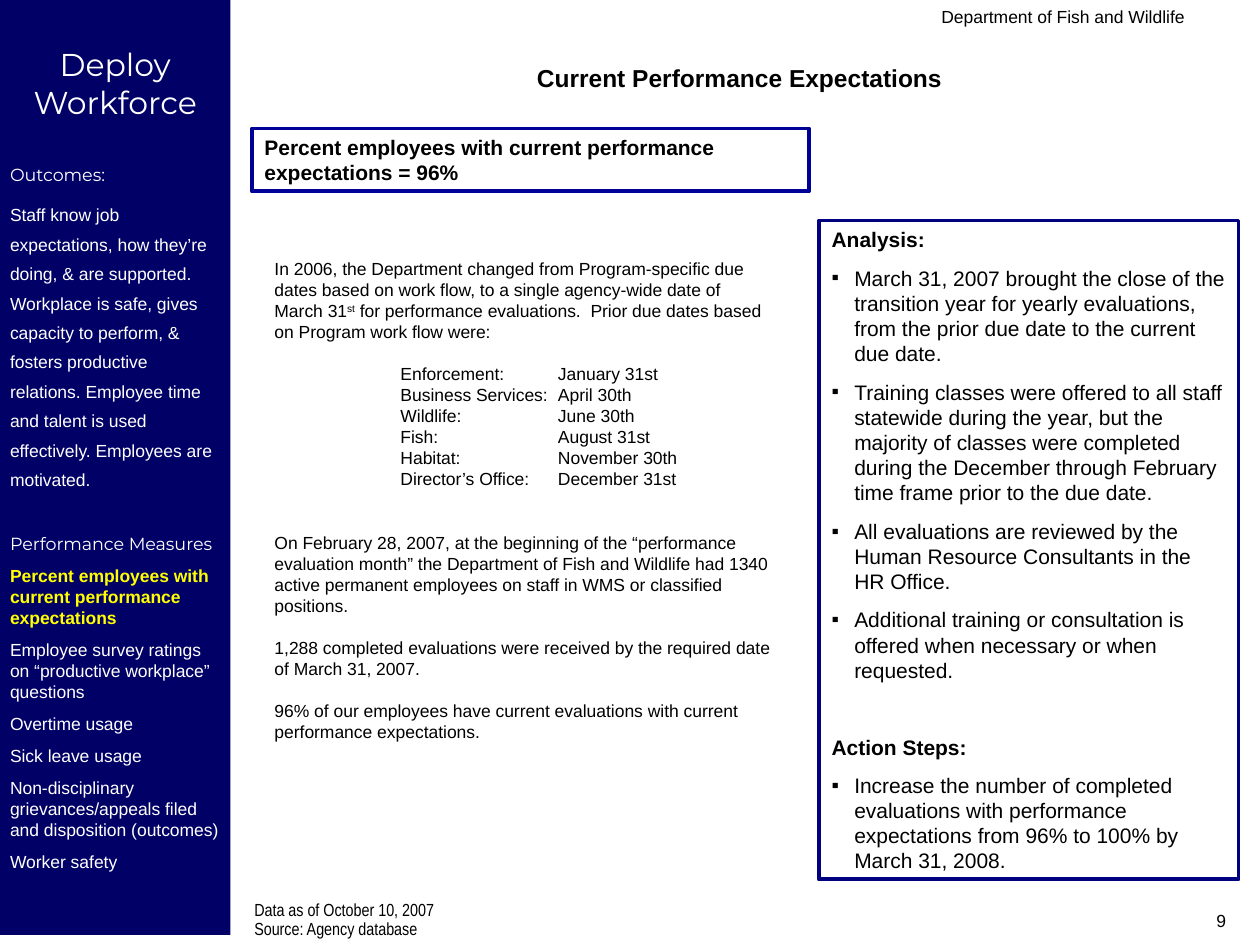
from lxml.etree import SubElement
from pptx import Presentation
from pptx.dml.color import RGBColor
from pptx.enum.shapes import MSO_SHAPE
from pptx.enum.text import MSO_ANCHOR, MSO_AUTO_SIZE, PP_ALIGN
from pptx.oxml.ns import qn
from pptx.util import Inches, Pt


def rgb(value):
    return RGBColor.from_string(value)


def place(sp, x, y, w, h):
    sp.left, sp.top, sp.width, sp.height = (Inches(v) for v in (x, y, w, h))


def setup_frame(sp, side=0.1, top=0.05):
    tf = sp.text_frame
    tf.word_wrap = True
    tf.auto_size = MSO_AUTO_SIZE.NONE
    tf.vertical_anchor = MSO_ANCHOR.TOP
    tf.margin_left = tf.margin_right = Inches(side)
    tf.margin_top = tf.margin_bottom = Inches(top)
    return tf


def outline(sp, color):
    sp.line.color.rgb = rgb(color)
    sp.line.width = Pt(2.25)


def add_text(s, x, y, w, h):
    return setup_frame(s.shapes.add_textbox(*(Inches(v) for v in (x, y, w, h))))


def add_rect(s, x, y, w, h, fill=None, line=None, side=0.1, top=0.05):
    sp = s.shapes.add_shape(MSO_SHAPE.RECTANGLE, *(Inches(v) for v in (x, y, w, h)))
    sp.shadow.inherit = False
    if fill:
        sp.fill.solid()
        sp.fill.fore_color.rgb = rgb(fill)
    else:
        sp.fill.background()
    if line:
        outline(sp, line)
    else:
        sp.line.fill.background()
    return setup_frame(sp, side, top)


def style_run(r, size, color, bold, font):
    r.font.size = Pt(size)
    r.font.color.rgb = rgb(color)
    r.font.bold = bold
    r.font.name = font


def add_par(tf, text, size=10, color="000000", bold=False, font="Arial",
            before=0, spacing=1.0, align=PP_ALIGN.LEFT):
    p = tf.paragraphs[0]
    if p.runs:
        p = tf.add_paragraph()
    p.text = text
    p.alignment = align
    p.space_before = Pt(before)
    p.space_after = Pt(0)
    p.line_spacing = spacing
    for r in p.runs:
        style_run(r, size, color, bold, font)
    return p


def set_bullet(p, char=None):
    pPr = p._p.get_or_add_pPr()
    pPr.set("marL", str(Inches(0.18)))
    pPr.set("indent", str(-Inches(0.18)))
    if char:
        SubElement(pPr, qn("a:buFont"), typeface="Arial")
        SubElement(pPr, qn("a:buChar"), char=char)
    else:
        SubElement(pPr, qn("a:buNone"))


def set_tabs(p, *stops):
    tabs = SubElement(p._p.get_or_add_pPr(), qn("a:tabLst"))
    for stop in stops:
        SubElement(tabs, qn("a:tab"), pos=str(Inches(stop)), algn="l")


def add_sidebar(s):
    tf = add_rect(s, 0, 0, 1.83, 7.42, fill="000066", side=0.08, top=0.36)
    white = "FFFFFF"
    add_par(tf, "Deploy Workforce", 18, white, font="Montserrat", align=PP_ALIGN.CENTER)
    add_par(tf, "Outcomes:", 10, white, font="Montserrat", before=24.6)
    add_par(tf, "Staff know job expectations, how they’re doing, & are supported. "
            "Workplace is safe, gives capacity to perform, & fosters productive relations. "
            "Employee time and talent is used effectively. Employees are motivated.",
            10, white, before=6.2, spacing=1.4)
    add_par(tf, "Performance Measures", 10, white, font="Montserrat", before=24.6)
    add_par(tf, "Percent employees with current performance expectations",
            10, "FFFF00", True, before=6.2)
    for measure in ("Employee survey ratings on “productive workplace” questions",
                    "Overtime usage", "Sick leave usage",
                    "Non-disciplinary grievances/appeals filed and disposition (outcomes)",
                    "Worker safety"):
        add_par(tf, measure, 10, white, before=6.2)


def add_analysis(sp):
    place(sp, 6.5, 1.75, 3.33, 5.23)
    outline(sp, "000080")
    tf = setup_frame(sp)
    sections = [
        ("Analysis:", 0, [
            "March 31, 2007 brought the close of the transition year for yearly evaluations, "
            "from the prior due date to the current due date.",
            "Training classes were offered to all staff statewide during the year, but the "
            "majority of classes were completed during the December through February time "
            "frame prior to the due date.",
            "All evaluations are reviewed by the Human Resource Consultants in the HR Office.",
            "Additional training or consultation is offered when necessary or when requested."]),
        ("Action Steps:", 29.4, [
            "Increase the number of completed evaluations with performance expectations "
            "from 96% to 100% by March 31, 2008."]),
    ]
    for heading, before, points in sections:
        set_bullet(add_par(tf, heading, 12, bold=True, before=before))
        for point in points:
            set_bullet(add_par(tf, point, 12, before=7.5), "▪")


def add_narrative(s):
    tf = add_text(s, 2.08, 2, 4.15, 4.62)
    p = add_par(tf, "In 2006, the Department changed from Program-specific due dates based on "
                "work flow, to a single agency-wide date of March 31")
    for text, baseline in (("st", "30000"),
                           (" for performance evaluations.  Prior due dates based on "
                            "Program work flow were:", "0")):
        r = p.add_run()
        r.text = text
        style_run(r, 10, "000000", False, "Arial")
        r._r.get_or_add_rPr().set("baseline", baseline)
    due_dates = [("Enforcement:", "January 31st"), ("Business Services:", "April 30th"),
                 ("Wildlife:", "June 30th"), ("Fish:", "August 31st"),
                 ("Habitat:", "November 30th"), ("Director’s Office:", "December 31st")]
    for i, (program, date) in enumerate(due_dates):
        set_tabs(add_par(tf, f"\t{program}\t{date}", before=0 if i else 12), 1, 2.25)
    add_par(tf, "On February 28, 2007, at the beginning of the “performance evaluation month” "
            "the Department of Fish and Wildlife had 1340 active permanent employees on staff "
            "in WMS or classified positions.", before=24)
    add_par(tf, "1,288 completed evaluations were received by the required date of "
            "March 31, 2007.", before=12)
    add_par(tf, "96% of our employees have current evaluations with current performance "
            "expectations.", before=12)


def main():
    prs = Presentation()
    prs.slide_width, prs.slide_height = Inches(10), Inches(7.5)
    s = prs.slides.add_slide(prs.slide_layouts[1])
    title, body = s.placeholders
    place(title, 1.83, 0.45, 8.08, 0.34)
    add_par(setup_frame(title), "Current Performance Expectations", 14, bold=True,
            align=PP_ALIGN.CENTER)
    add_sidebar(s)
    add_analysis(body)
    add_par(add_rect(s, 2, 1.02, 4.42, 0.5, line="000099"),
            "Percent employees with current performance expectations = 96%", 12, bold=True)
    add_narrative(s)
    footer = add_text(s, 1.92, 7.13, 4.83, 0.37)
    add_par(footer, "Data as of October 10, 2007", font="Arial Narrow", spacing=0.7)
    add_par(footer, "Source: Agency database", font="Arial Narrow", before=2.5, spacing=0.7)
    add_par(add_text(s, 4.5, 0, 5, 0.25), "Department of Fish and Wildlife",
            align=PP_ALIGN.RIGHT)
    add_par(add_text(s, 7.5, 7.17, 2.33, 0.33), "9", align=PP_ALIGN.RIGHT)
    prs.save("out.pptx")


if __name__ == "__main__":
    main()
